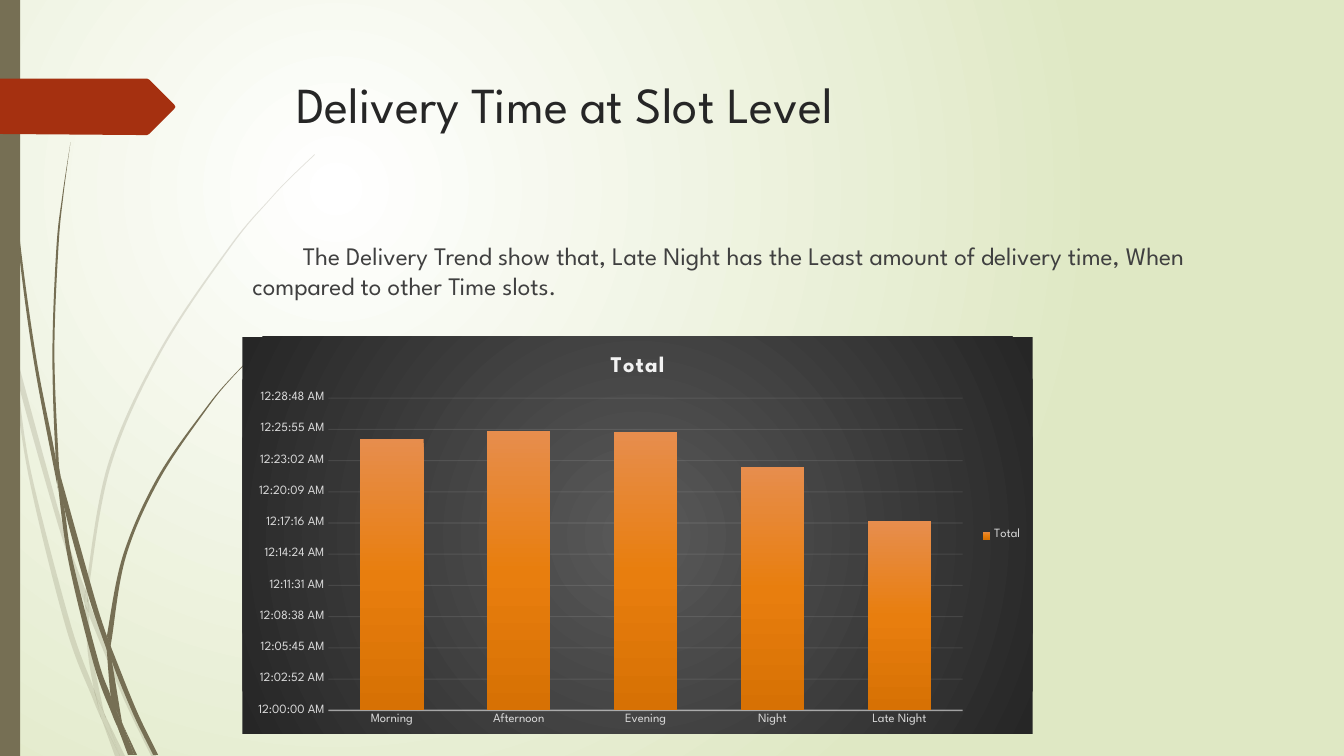
"""Build the delivery time slide: a column chart by time slot beside a spray of grass."""
from lxml import etree
from pptx import Presentation
from pptx import util as u
from pptx.chart.data import CategoryChartData
from pptx.dml.color import RGBColor
from pptx.enum import chart as charts, shapes, text
from pptx.oxml import parse_xml
from pptx.oxml.ns import nsdecls, qn

THEME = {
    "font": "League Spartan", "grass": "766F54", "arrow": "A53010",
    "title": "262626", "body": "404040", "label": "D9D9D9", "line": "F2F2F2",
    "title_size": 36, "body_size": 18, "chart_title_size": 16, "label_size": 9,
    "page": [(0, "FFFFFF"), (100, "DFE8C4")],
    "panel": [(0, "595959"), (100, "262626")],
    "column": [(0, "E78D4D"), (50, "E87E0E"), (100, "D77104")],
}
CELL = u.Inches(0.1)
COLUMNS, ROWS = 133.33, 75
RADIAL = '<a:path path="circle"><a:fillToRect l="50000" t="50000" r="{0}" b="{0}"/></a:path>'

PALE_GRASS = [
    ([(0.14, 3.45), (0.62, 5.2), (0.85, 5.86)],
     [(0.84, 5.99), (0.58, 5.22), (0.17, 3.76), (0.14, 3.45)]),
    ([(0.88, 5.96), (0.92, 6.07), (1.27, 6.92), (1.55, 7.5)],
     [(1.5, 7.5), (1.23, 6.94), (0.88, 6.1)]),
    ([(1.05, 7.11), (1.24, 7.5)], [(1.19, 7.5), (1.05, 7.11)]),
    ([(0.11, 3.5), (0.17, 3.76), (0.31, 4.69), (0.7, 6.19), (0.93, 6.83), (0.99, 7.07),
      (1.01, 7.14)],
     [(1.01, 7.14), (0.92, 6.93), (0.65, 6.21), (0.28, 4.7), (0.11, 3.5)]),
    ([(0.84, 5.99), (0.87, 6.46), (0.93, 6.83), (0.96, 6.92), (1.05, 7.11)],
     [(1.05, 7.11), (1.03, 7.06), (0.91, 6.46), (0.88, 6.1), (0.84, 5.99)]),
    ([(0.88, 5.96), (0.88, 5.84), (1.1, 4.62), (1.6, 3.49), (2.29, 2.45), (2.68, 1.98),
      (2.9, 1.75), (3.12, 1.54)],
     [(3.12, 1.53), (2.89, 1.75), (2.68, 1.97), (2.28, 2.44), (1.58, 3.48), (1.07, 4.61),
      (0.85, 5.84), (0.85, 5.86)]),
    ([(1.01, 7.14), (1.14, 7.5)], [(1.19, 7.5), (1.01, 7.14)]),
    ([(0.85, 5.86), (0.88, 5.96), (0.88, 6.1)], [(0.88, 6.08), (0.84, 5.99), (0.85, 5.86)]),
    ([(0.93, 6.83), (0.99, 7.07), (1.01, 7.14), (1.19, 7.5)],
     [(1.19, 7.5), (1.05, 7.11), (0.96, 6.92), (0.93, 6.83)]),
]
DARK_GRASS = [
    ([(0.03, 0), (0.04, 0.48), (0.07, 1.1), (0.17, 2.33), (0.33, 3.55), (0.56, 4.77),
      (0.57, 4.81)],
     [(0.57, 4.81), (0.55, 4.53), (0.36, 3.55), (0.19, 2.32), (0.08, 1.09), (0.05, 0.48),
      (0.04, 0)]),
    ([(0.6, 4.72), (0.93, 5.9), (1.06, 6.31)],
     [(1.06, 6.45), (0.88, 5.92), (0.64, 5.05), (0.6, 4.72)]),
    ([(1.1, 6.41), (1.13, 6.49), (1.36, 7.06), (1.57, 7.49)],
     [(1.52, 7.49), (1.32, 7.08), (1.11, 6.56), (1.1, 6.41)]),
    ([(0.57, 4.77), (0.64, 5.05), (0.72, 5.56), (0.98, 6.57), (1.1, 6.91), (1.17, 7.22)],
     [(1.17, 7.22), (1.11, 7.08), (0.93, 6.59), (0.68, 5.57), (0.57, 4.77)]),
    ([(0.6, 4.72), (0.58, 4.53), (0.54, 3.49), (0.58, 2.45), (0.63, 1.93), (0.7, 1.41)],
     [(0.7, 1.41), (0.62, 1.93), (0.56, 2.45), (0.52, 3.49), (0.55, 4.49), (0.6, 4.72)]),
    ([(1.22, 7.19), (1.36, 7.49)], [(1.33, 7.49), (1.22, 7.19)]),
    ([(0.55, 4.49), (0.6, 4.72), (0.64, 5.05)], [(0.64, 5.05), (0.57, 4.77), (0.55, 4.49)]),
    ([(1.1, 6.41), (1.11, 6.33), (1.25, 5.52), (1.58, 4.76), (2.05, 4.06), (2.31, 3.74),
      (2.61, 3.44)],
     [(2.6, 3.44), (2.31, 3.73), (2.04, 4.05), (1.56, 4.74), (1.22, 5.51), (1.06, 6.31)]),
    ([(1.17, 7.22), (1.31, 7.49)], [(1.27, 7.49), (1.17, 7.22)]),
    ([(1.06, 6.45), (1.09, 6.51), (1.11, 6.56), (1.21, 7.16), (1.22, 7.19)],
     [(1.22, 7.19), (1.16, 7.06), (1.1, 6.91), (1.06, 6.45)]),
    ([(1.06, 6.31), (1.1, 6.41), (1.11, 6.56)], [(1.11, 6.56), (1.06, 6.45), (1.06, 6.31)]),
    ([(1.1, 6.91), (1.16, 7.06), (1.22, 7.19), (1.33, 7.49)],
     [(1.3, 7.49), (1.17, 7.22), (1.1, 6.91)]),
]
ARROW = [(0, 0.78), (1.46, 0.78), (1.48, 0.79), (1.73, 1.04), (1.74, 1.06), (1.73, 1.08),
         (1.48, 1.33), (1.46, 1.34), (1.36, 1.34), (0, 1.33)]


def curve_controls(points):
    """Return the first point, then two handles and an end for each curve."""
    padded = [points[0], *points, points[-1]]
    controls = [points[0]]
    for a, b, c, d in zip(padded, padded[1:], padded[2:], padded[3:]):
        controls.append(tuple(q + (r - p) / 6 for p, q, r in zip(a, b, c)))
        controls.append(tuple(r - (s - q) / 6 for q, r, s in zip(b, c, d)))
        controls.append(c)
    return controls


def set_gradient(holder, stops, direction):
    """Swap the solid fill of a property element for a gradient."""
    marks = "".join(f'<a:gs pos="{place * 1000}"><a:srgbClr val="{color}"/></a:gs>'
                    for place, color in stops)
    gradient = parse_xml(f'<a:gradFill {nsdecls("a")} rotWithShape="1">'
                         f'<a:gsLst>{marks}</a:gsLst>{direction}</a:gradFill>')
    holder.replace(holder.find(qn("a:solidFill")), gradient)


presentation = Presentation()
presentation.slide_width, presentation.slide_height = int(COLUMNS * CELL), ROWS * CELL
slide = presentation.slides.add_slide(presentation.slide_layouts[6])
slide.background.fill.solid()
set_gradient(next(slide.element.iter(qn("p:bgPr"))), THEME["page"], RADIAL.format(100000))

painted = []
outlines = [(out, back, "grass", 20) for out, back in PALE_GRASS]
outlines += [(out, back, "grass", 100) for out, back in DARK_GRASS]
outlines.append((ARROW, [], "arrow", 100))
for out, back, color, opacity in outlines:
    points = out
    if back:
        points = curve_controls(out) + [out[-1], back[0]] + curve_controls(back)
    points = [(int(u.Inches(x)), int(u.Inches(y))) for x, y in points]
    builder = slide.shapes.build_freeform(*points[0])
    builder.add_line_segments(points[1:], close=True)
    shape = builder.convert_to_shape()
    lines = list(shape.element.iter(qn("a:lnTo"))) if back else []
    for first, second, end in zip(lines[::3], lines[1::3], lines[2::3]):
        curve = etree.Element(qn("a:cubicBezTo"))
        first.addprevious(curve)
        for line in (first, second, end):
            curve.append(line[0])
            line.getparent().remove(line)
    painted.append((shape, color, opacity))

bar = slide.shapes.add_shape(shapes.MSO_SHAPE.RECTANGLE, 0, 0, 2 * CELL, ROWS * CELL)
painted[-1][0].element.addprevious(bar.element)
painted.append((bar, "grass", 100))
for shape, color, opacity in painted:
    shape.shadow.inherit = False
    shape.line.fill.background()
    shape.fill.solid()
    shape.fill.fore_color.rgb = RGBColor.from_string(THEME[color])
    if opacity < 100:
        tint = next(shape.element.spPr.iter(qn("a:srgbClr")))
        etree.SubElement(tint, qn("a:alpha"), val=str(opacity * 1000))

texts = [
    ("Delivery Time at Slot Level", "title", (28.4, 6.8, 97.5, 14), 0, 0),
    ("The Delivery Trend show that, Late Night has the Least amount of delivery time, "
     "When compared to other Time slots.", "body", (24.05, 23.35, 101.8, 41.3), 10, 5),
]
for wording, role, place, space_before, indent in texts:
    frame = slide.shapes.add_textbox(*(int(cells * CELL) for cells in place)).text_frame
    frame.word_wrap = True
    frame.vertical_anchor = text.MSO_ANCHOR.TOP
    paragraph = frame.paragraphs[0]
    paragraph.space_before = u.Pt(space_before)
    paragraph._p.get_or_add_pPr().set("indent", str(indent * CELL))
    run = paragraph.add_run()
    run.text = wording
    run.font.name, run.font.size = THEME["font"], u.Pt(THEME[f"{role}_size"])
    run.font.color.rgb = RGBColor.from_string(THEME[role])

data = CategoryChartData()
data.categories = ["Morning", "Afternoon", "Evening", "Night", "Late Night"]
data.add_series("Total", [0.0174, 0.0179, 0.0178, 0.0156, 0.0121])
place = [int(cells * CELL) for cells in (24.05, 33.4, 78.4, 39.4)]
chart = slide.shapes.add_chart(charts.XL_CHART_TYPE.COLUMN_CLUSTERED, *place, data).chart
chart.font.name, chart.font.size = THEME["font"], u.Pt(THEME["label_size"])
chart.font.color.rgb = RGBColor.from_string(THEME["label"])
panel = parse_xml(f'<c:spPr {nsdecls("c", "a")}><a:solidFill/><a:ln><a:noFill/></a:ln></c:spPr>')
set_gradient(panel, THEME["panel"], RADIAL.format(50000))
chart.element.find(qn("c:chart")).addnext(panel)

chart.has_title = True
run = chart.chart_title.text_frame.paragraphs[0].add_run()
run.text = "Total"
run.font.name, run.font.size = THEME["font"], u.Pt(THEME["chart_title_size"])
run.font.bold = True
run.font.color.rgb = RGBColor.from_string(THEME["line"])
run.font._element.set("spc", "100")
chart.has_legend = True
chart.legend.position = charts.XL_LEGEND_POSITION.RIGHT
chart.legend.include_in_layout = False

plot = chart.plots[0]
plot.gap_width, plot.overlap, plot.vary_by_categories = 100, -24, False
series = plot.series[0]
series.format.fill.solid()
set_gradient(series.format.fill._xPr, THEME["column"], '<a:lin ang="5400000" scaled="0"/>')

values, slots = chart.value_axis, chart.category_axis
values.minimum_scale, values.maximum_scale, values.major_unit = 0, 0.02, 0.002
values.tick_labels.number_format = "[$-F400]h:mm:ss\\ AM/PM"
values.tick_labels.number_format_is_linked = False
values.has_major_gridlines = True
values.format.line.fill.background()
for axis in (values, slots):
    axis.major_tick_mark = axis.minor_tick_mark = charts.XL_TICK_MARK.NONE
for line, width, opacity in ((values.major_gridlines.format.line, 0.75, 10),
                             (slots.format.line, 1, 54)):
    line.width = u.Pt(width)
    line.color.rgb = RGBColor.from_string(THEME["line"])
    tint = next(line.fill._xPr.iter(qn("a:srgbClr")))
    etree.SubElement(tint, qn("a:alpha"), val=str(opacity * 1000))

presentation.save("out.pptx")
